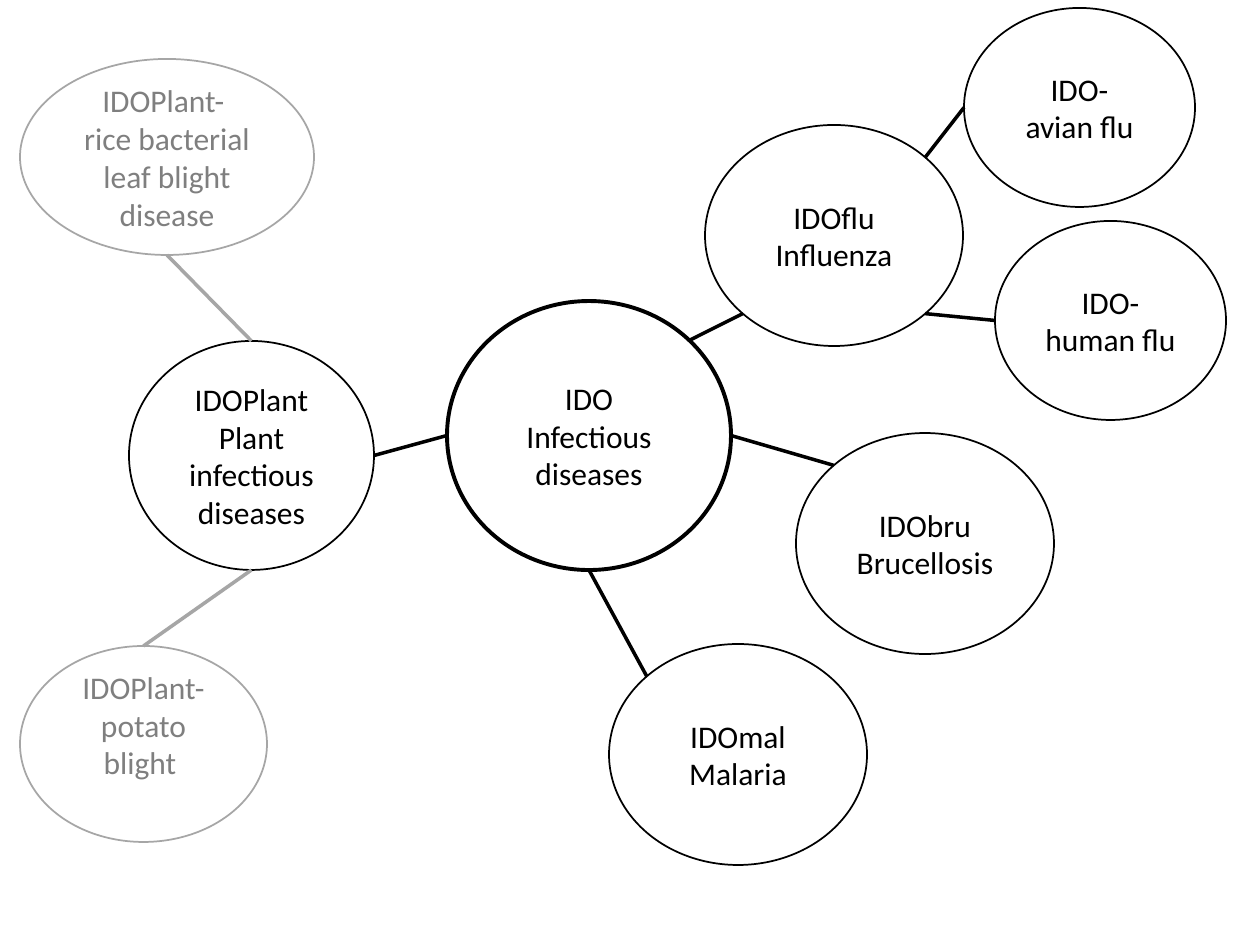
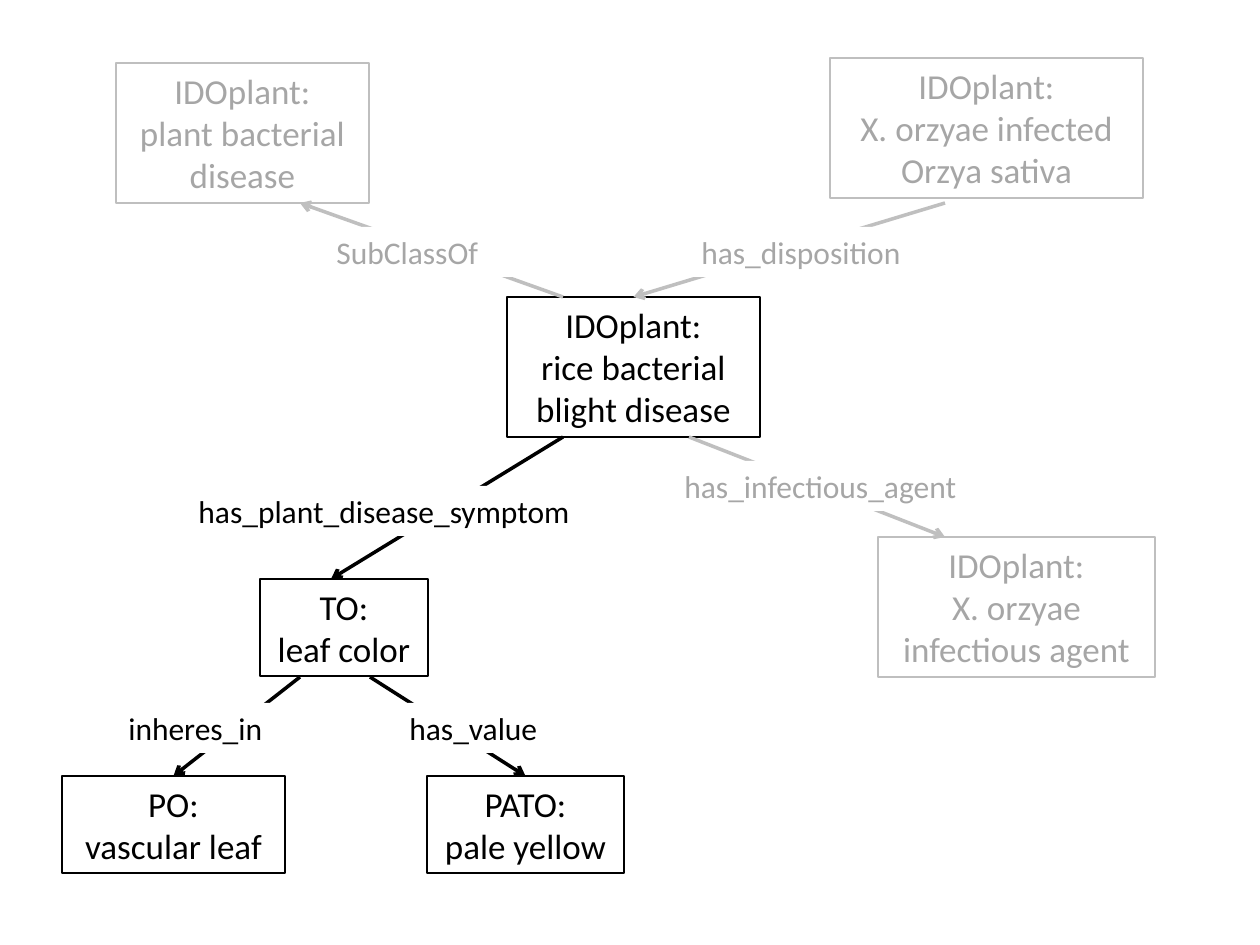
import math

import pptx
import pptx.dml.color
import pptx.enum.shapes
import pptx.enum.text
import pptx.oxml
import pptx.oxml.ns
import pptx.util

RGB = pptx.dml.color.RGBColor
BLACK = RGB(0x00, 0x00, 0x00)
WHITE = RGB(0xFF, 0xFF, 0xFF)
MID_GREY = RGB(0x7F, 0x7F, 0x7F)
GREY = RGB(0xA6, 0xA6, 0xA6)
PALE_GREY = RGB(0xBF, 0xBF, 0xBF)

FONT = "Calibri"
PX_PER_INCH = 126
CENTER = pptx.enum.text.PP_ALIGN.CENTER
LEFT_ALIGN = pptx.enum.text.PP_ALIGN.LEFT

# Compass points on an ellipse, in degrees clockwise from the right
RIGHT, LOWER_RIGHT, BOTTOM, LOWER_LEFT = 0, 45, 90, 135
LEFT, UPPER_LEFT, TOP, UPPER_RIGHT = 180, 225, 270, 315

TOP_SITE = 0


def px(length):
    return pptx.util.Emu(round(length * 914400 / PX_PER_INCH))


def add_xml(parent, tag, attributes=""):
    namespace = pptx.oxml.ns.nsdecls("a")
    parent.append(pptx.oxml.parse_xml(f"<a:{tag} {namespace} {attributes}/>"))


def write(shape, text, size, color, align=CENTER):
    frame = shape.text_frame
    frame.word_wrap = True
    frame.text = text
    for para in frame.paragraphs:
        para.alignment = align
        para.font.name = FONT
        para.font.size = pptx.util.Pt(size)
        para.font.color.rgb = color


def set_line(shape, color, width):
    shape.line.color.rgb = color
    shape.line.width = pptx.util.Pt(width)


def add_bubble(page, area, text, line_color=BLACK, text_color=BLACK,
               line_width=1, alpha=39):
    """Ellipse with centred text; alpha is the fill's opacity in percent."""
    bubble = page.shapes.add_shape(
        pptx.enum.shapes.MSO_SHAPE.OVAL, *map(px, area))
    bubble.shadow.inherit = False
    bubble.fill.solid()
    bubble.fill.fore_color.rgb = WHITE
    if alpha < 100:
        for fill_color in bubble.element.spPr.iter(pptx.oxml.ns.qn("a:srgbClr")):
            add_xml(fill_color, "alpha", f'val="{alpha * 1000}"')
    set_line(bubble, line_color, line_width)
    bubble.text_frame.vertical_anchor = pptx.enum.text.MSO_ANCHOR.MIDDLE
    write(bubble, text, 18, text_color)
    return bubble


def rim_point(bubble, angle):
    """Point of the ellipse's outline at the angle, in EMU."""
    turn = math.radians(angle)
    x = bubble.left + bubble.width / 2 * (1 + math.cos(turn))
    y = bubble.top + bubble.height / 2 * (1 + math.sin(turn))
    return pptx.util.Emu(round(x)), pptx.util.Emu(round(y))


def add_link(page, start, end, color=BLACK, arrow=False):
    link = page.shapes.add_connector(
        pptx.enum.shapes.MSO_CONNECTOR.STRAIGHT, *start, *end)
    set_line(link, color, 2)
    if arrow:
        add_xml(link.line._get_or_add_ln(), "tailEnd", 'type="arrow"')
    add_xml(link.element.spPr, "effectLst")
    return link


def add_term(page, left, top, width, text, line_color=BLACK, text_color=BLACK):
    """Outlined box for an ontology term: three lines high if greyed or long."""
    height = 140 if "bacterial" in text or "orzyae" in text else 97
    box = page.shapes.add_textbox(px(left), px(top), px(width), px(height))
    set_line(box, line_color, 1.5)
    write(box, text, 20, text_color)
    return box


def add_relation(page, start, end, color=BLACK, target=None):
    """Arrow between two px points, joined to the target's top when given."""
    arrow = add_link(page, map(px, start), map(px, end), color, arrow=True)
    if target is not None:
        arrow.end_connect(target, TOP_SITE)


def add_label(page, left, top, width, text, color=BLACK):
    label = page.shapes.add_textbox(px(left), px(top), px(width), px(50))
    label.fill.solid()
    label.fill.fore_color.rgb = WHITE
    write(label, text, 18, color, LEFT_ALIGN)


def build_ontology_family(page):
    ido = add_bubble(page, (447, 301, 284, 269), "IDO\vInfectious diseases",
                     line_width=2.25, alpha=100)
    malaria, influenza, brucellosis = [
        add_bubble(page, (left, top, 258, 221), text)
        for left, top, text in ((609, 644, "IDOmal\nMalaria"),
                                (705, 125, "IDOflu\nInfluenza"),
                                (796, 433, "IDObru\nBrucellosis"))]
    avian, human = [
        add_bubble(page, (left, top, 231, 199), text)
        for left, top, text in ((964, 8, "IDO-\navian flu"),
                                (995, 221, "IDO-human flu"))]
    plant = add_bubble(page, (129, 341, 245, 229),
                       "IDOPlant\nPlant infectious diseases")
    rice = add_bubble(page, (20, 59, 294, 196),
                      "IDOPlant- \nrice bacterial leaf blight disease",
                      GREY, MID_GREY)
    potato = add_bubble(page, (20, 646, 247, 196),
                        "IDOPlant-\npotato blight ", GREY, MID_GREY)
    potato.text_frame.margin_bottom = px(45)

    for start, start_angle, end, end_angle, color in (
            (plant, BOTTOM, potato, TOP, GREY),
            (ido, LEFT, plant, RIGHT, BLACK),
            (plant, TOP, rice, BOTTOM, GREY),
            (ido, RIGHT, brucellosis, UPPER_LEFT, BLACK),
            (ido, BOTTOM, malaria, UPPER_LEFT, BLACK),
            (ido, UPPER_RIGHT, influenza, LOWER_LEFT, BLACK),
            (avian, LEFT, influenza, UPPER_RIGHT, BLACK),
            (human, LEFT, influenza, LOWER_RIGHT, BLACK)):
        add_link(page, rim_point(start, start_angle),
                 rim_point(end, end_angle), color)


def build_disease_relations(page):
    vascular_leaf = add_term(page, 62, 776, 223, "PO:\nvascular leaf")
    pale_yellow = add_term(page, 427, 776, 197, "PATO:\npale yellow")
    add_term(page, 260, 579, 168, "TO:\nleaf color")
    rice_blight = add_term(page, 507, 297, 253,
                           "IDOplant:\nrice bacterial blight disease")
    for left, top, width, text in (
            (116, 63, 253, "plant bacterial disease"),
            (830, 58, 313, "X. orzyae infected Orzya sativa"),
            (878, 537, 277, "X. orzyae infectious agent")):
        add_term(page, left, top, width, f"IDOplant:\n{text}", PALE_GREY, GREY)

    add_relation(page, (945, 203), (634, 297), PALE_GREY, rice_blight)
    add_relation(page, (563, 297), (300, 203), PALE_GREY)
    add_relation(page, (689, 437), (945, 537), PALE_GREY)
    add_relation(page, (563, 437), (331, 579))
    add_relation(page, (370, 677), (525, 776), target=pale_yellow)
    add_relation(page, (300, 677), (173, 776), target=vascular_leaf)

    add_label(page, 397, 703, 190, "has_value")
    add_label(page, 116, 703, 190, "inheres_in")
    add_label(page, 186, 486, 423, "has_plant_disease_symptom")
    add_label(page, 672, 461, 318, "has_infectious_agent", GREY)
    add_label(page, 324, 227, 190, "SubClassOf", GREY)
    add_label(page, 689, 227, 237, "has_disposition", GREY)


def main():
    deck = pptx.Presentation()
    deck.slide_width, deck.slide_height = px(1260), px(945)
    blank = deck.slide_layouts[6]
    for build in (build_ontology_family, build_disease_relations):
        build(deck.slides.add_slide(blank))
    deck.save("out.pptx")


if __name__ == "__main__":
    main()
